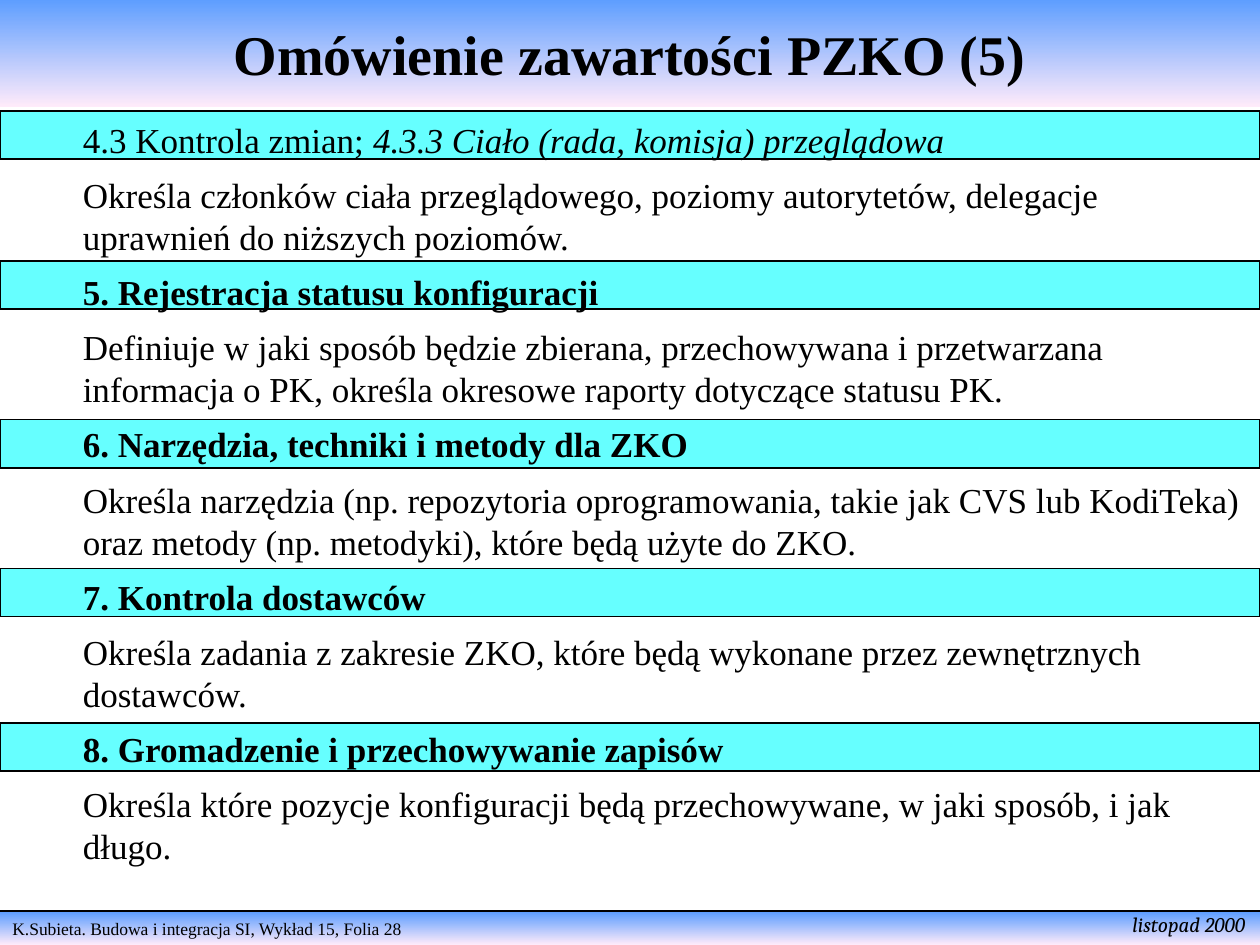
from dataclasses import dataclass

from lxml.etree import SubElement
from pptx import Presentation
from pptx.dml.color import RGBColor
from pptx.enum.shapes import MSO_CONNECTOR, MSO_SHAPE
from pptx.enum.text import MSO_ANCHOR, MSO_AUTO_SIZE, PP_ALIGN
from pptx.oxml.ns import qn
from pptx.util import Cm, Pt

WIDE, HIGH = 25.4, 19.05
SERIF = "Times New Roman"
BLACK, AQUA = "000000", "66FFFF"
FADE = ("5E9EFF", "FFEBFA")
BANDS = (2.24, 5.26, 8.46, 11.46, 14.58)


@dataclass
class Box:
    left: float
    top: float
    width: float
    height: float

    def place(self) -> tuple:
        return Cm(self.left), Cm(self.top), Cm(self.width), Cm(self.height)


@dataclass
class Part:
    head: str
    body: str
    tail: str = ""  # italic end of the heading


PARTS = (
    Part("4.3 Kontrola zmian; ",
         "Określa członków ciała przeglądowego, poziomy autorytetów, delegacje "
         "uprawnień do niższych poziomów.",
         "4.3.3 Ciało (rada, komisja) przeglądowa"),
    Part("5. Rejestracja statusu konfiguracji",
         "Definiuje w jaki sposób będzie zbierana, przechowywana i przetwarzana "
         "informacja o PK, określa okresowe raporty dotyczące statusu PK."),
    Part("6. Narzędzia, techniki i metody dla ZKO",
         "Określa narzędzia (np. repozytoria oprogramowania, takie jak CVS lub "
         "KodiTeka) oraz metody (np. metodyki), które będą użyte do ZKO."),
    Part("7. Kontrola dostawców",
         "Określa zadania z zakresie ZKO, które będą wykonane przez "
         "zewnętrznych dostawców."),
    Part("8. Gromadzenie i przechowywanie zapisów",
         "Określa które pozycje konfiguracji będą przechowywane, w jaki "
         "sposób, i jak długo."),
)


def tint(code: str) -> RGBColor:
    return RGBColor.from_string(code)


def style(run, size: float, face: str = SERIF, bold: bool = False,
          slant: bool = False) -> None:
    font = run.font
    font.name, font.size = face, Pt(size)
    font.bold, font.italic = bold, slant
    font.color.rgb = tint(BLACK)


def draw_rect(slide, box: Box):
    rect = slide.shapes.add_shape(MSO_SHAPE.RECTANGLE, *box.place())
    rect.shadow.inherit = False
    return rect


def draw_fade(slide, box: Box, text: str, size: float, align, anchor,
              bold: bool = False) -> None:
    rect = draw_rect(slide, box)
    rect.line.fill.background()
    rect.fill.gradient()
    rect.fill.gradient_angle = 270
    for stop, code in zip(rect.fill.gradient_stops, FADE):
        stop.color.rgb = tint(code)
    frame = rect.text_frame
    frame.text = text
    frame.word_wrap = True
    frame.vertical_anchor = anchor
    para = frame.paragraphs[0]
    para.alignment = align
    style(para.runs[0], size, bold=bold)


def draw_band(slide, top: float) -> None:
    rect = draw_rect(slide, Box(0, top, WIDE, 0.97))
    rect.fill.solid()
    rect.fill.fore_color.rgb = tint(AQUA)
    rect.line.color.rgb = tint(BLACK)
    rect.line.width = Pt(1)


def draw_rule(slide, top: float) -> None:
    rule = slide.shapes.add_connector(
        MSO_CONNECTOR.STRAIGHT, Cm(0), Cm(top), Cm(WIDE), Cm(top))
    rule.line.color.rgb = tint(BLACK)
    rule.line.width = Pt(1)
    SubElement(rule._element.spPr, qn("a:effectLst"))


def add_text(slide, box: Box, wrap: bool):
    frame = slide.shapes.add_textbox(*box.place()).text_frame
    frame.word_wrap = wrap
    frame.auto_size = MSO_AUTO_SIZE.SHAPE_TO_FIT_TEXT
    return frame


def draw_parts(slide, box: Box) -> None:
    frame = add_text(slide, box, True)
    para = frame.paragraphs[0]
    for i, part in enumerate(PARTS):
        if i:
            para = frame.add_paragraph()
        para.text = part.head
        para.space_after = Pt(7.5)
        style(para.runs[0], 20, bold=not part.tail)
        if part.tail:
            run = para.add_run()
            run.text = part.tail
            style(run, 20, slant=True)
        para = frame.add_paragraph()
        para.text = part.body
        para.space_after = Pt(7.5)
        style(para.runs[0], 20)


def main() -> None:
    deck = Presentation()
    deck.slide_width, deck.slide_height = Cm(WIDE), Cm(HIGH)
    slide = deck.slides.add_slide(deck.slide_layouts[6])

    # Footer
    draw_fade(slide, Box(0, 18.39, WIDE, 0.66),
              "K.Subieta. Budowa i integracja SI, Wykład 15, Folia 28",
              10, PP_ALIGN.LEFT, MSO_ANCHOR.TOP)
    draw_rule(slide, 18.36)
    date = add_text(slide, Box(22.58, 18.26, 2.82, 0.76), False)
    date.text = "listopad 2000"
    style(date.paragraphs[0].runs[0], 12, "Cambria", slant=True)

    # Heading bands
    for top in BANDS:
        draw_band(slide, top)

    # Title and body
    draw_fade(slide, Box(0, 0, WIDE, 2.16), "Omówienie zawartości PZKO (5)",
              32, PP_ALIGN.CENTER, MSO_ANCHOR.MIDDLE, bold=True)
    draw_parts(slide, Box(1.42, 2.26, 23.98, 15.34))

    deck.save("out.pptx")


if __name__ == "__main__":
    main()
